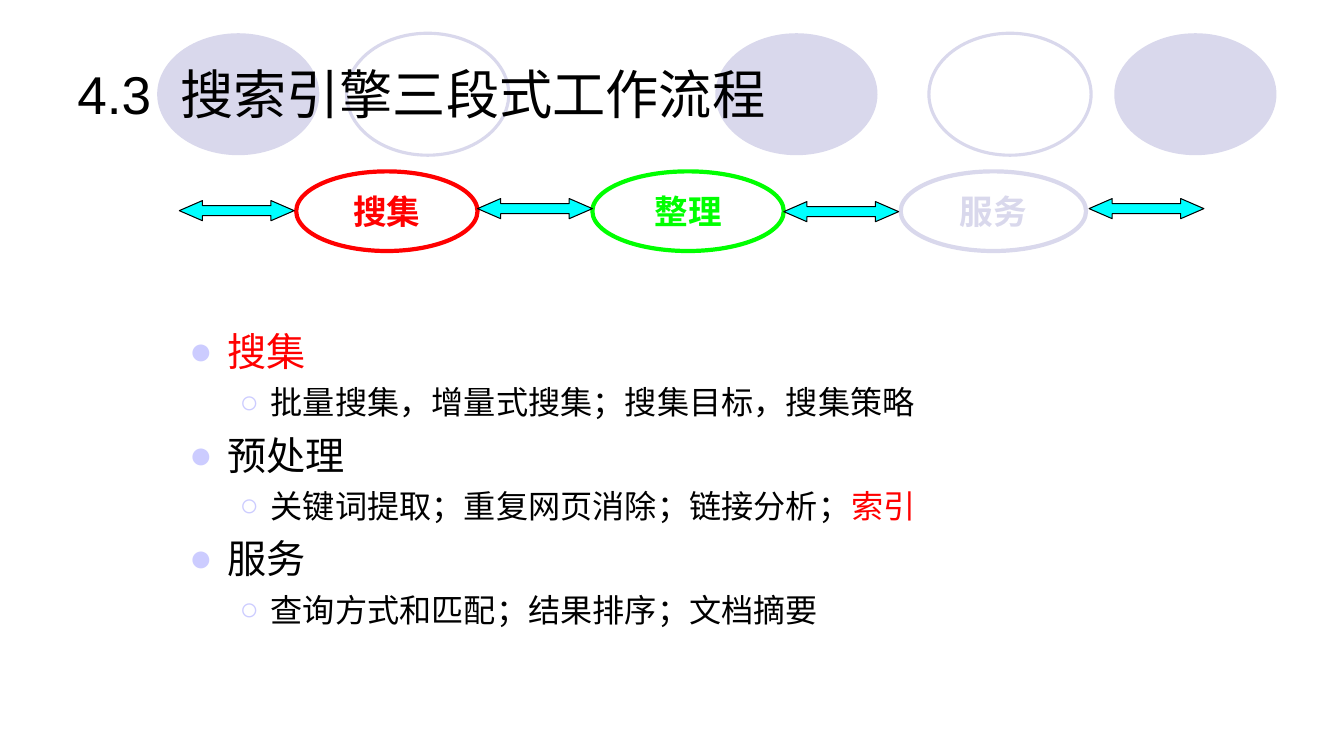
from lxml.etree import SubElement
from pptx import Presentation
from pptx.dml.color import RGBColor
from pptx.enum.shapes import MSO_SHAPE
from pptx.enum.text import MSO_ANCHOR, PP_ALIGN
from pptx.oxml.ns import qn
from pptx.util import Inches, Pt

BLACK, RED, GREEN, LILAC, CYAN = "000000", "FF0000", "00FF00", "D9D8EC", "00FFFF"
BULLET_COLOR = "CCCCFF"


def rgb(value):
    return RGBColor.from_string(value)


def add_figure(kind, box, fill=None, line=None, width=0):
    figure = slide.shapes.add_shape(kind, *(Inches(v) for v in box))
    figure.shadow.inherit = False
    for part, color in ((figure.fill, fill), (figure.line.fill, line)):
        if color:
            part.solid()
            part.fore_color.rgb = rgb(color)
        else:
            part.background()
    if line:
        figure.line.width = Pt(width)
    return figure


prs = Presentation()
prs.slide_width, prs.slide_height = Inches(13.34), Inches(7.5)
slide = prs.slides.add_slide(prs.slide_layouts[6])

# Background ovals: filled and outlined
for left, filled in ((7.1, True), (11.06, True), (1.56, True), (9.22, False), (3.44, False)):
    style = {"fill": LILAC} if filled else {"line": LILAC, "width": 2.25}
    add_figure(MSO_SHAPE.OVAL, (left, 0.33, 1.61, 1.21), **style)

# Title, with a tab stop after the section number
title = slide.shapes.add_textbox(Inches(0.67), Inches(0.3), Inches(12), Inches(1.25)).text_frame
title.word_wrap = True
title.vertical_anchor = MSO_ANCHOR.MIDDLE
heading = title.paragraphs[0]
heading.text = "4.3\t搜索引擎三段式工作流程"
tabs = SubElement(heading._p.get_or_add_pPr(), qn("a:tabLst"))
SubElement(tabs, qn("a:tab"), pos=str(Inches(1.02)), algn="l")
for name, value in {"size": Pt(38), "name": "Arial"}.items():
    setattr(heading.runs[0].font, name, value)
heading.runs[0].font.color.rgb = rgb(BLACK)

# Details of the three stages: level and coloured runs
details = [
    (0, [("搜集", RED)]),
    (1, [("批量搜集，增量式搜集；搜集目标，搜集策略", BLACK)]),
    (0, [("预处理", BLACK)]),
    (1, [("关键词提取；重复网页消除；链接分析；", BLACK), ("索引", RED)]),
    (0, [("服务", BLACK)]),
    (1, [("查询方式和匹配；结果排序；文档摘要", BLACK)]),
]
# Per level: text size, space before, left margin, hanging indent, bullet
levels = [(28, 7, 0.38, -0.38, "●"), (23, 5.8, 0.81, -0.31, "○")]
body = slide.shapes.add_textbox(Inches(1.78), Inches(3.2), Inches(10.08), Inches(3.5)).text_frame
body.word_wrap = True
for index, (level, pieces) in enumerate(details):
    size, before, margin, indent, bullet = levels[level]
    detail = body.add_paragraph() if index else body.paragraphs[0]
    detail.level = level
    detail.space_before = Pt(before if index else 0)
    props = detail._p.get_or_add_pPr()
    props.set("marL", str(Inches(margin)))
    props.set("indent", str(Inches(indent)))
    SubElement(SubElement(props, qn("a:buClr")), qn("a:srgbClr"), val=BULLET_COLOR)
    SubElement(props, qn("a:buFont"), typeface="Arial")
    SubElement(props, qn("a:buChar"), char=bullet)
    for text, color in pieces:
        piece = detail.add_run()
        piece.text = text
        for name, value in {"size": Pt(size), "name": "Arial"}.items():
            setattr(piece.font, name, value)
        piece.font.color.rgb = rgb(color)

# Workflow stages
for left, width, text, color in ((2.94, 1.8, "搜集", RED), (5.88, 1.9, "整理", GREEN),
                                 (8.94, 1.84, "服务", LILAC)):
    stage = add_figure(MSO_SHAPE.OVAL, (left, 1.7, width, 0.79), line=color, width=3)
    label = stage.text_frame.paragraphs[0]
    label.text = text
    label.alignment = PP_ALIGN.CENTER
    stage_font = {"size": Pt(24), "name": "Times New Roman", "bold": True}
    for name, value in stage_font.items():
        setattr(label.runs[0].font, name, value)
    label.runs[0].font.color.rgb = rgb(color)

# Double arrows between the stages
for left, top in ((4.74, 1.97), (7.78, 2), (10.81, 1.97), (1.78, 1.99)):
    arrow = add_figure(MSO_SHAPE.LEFT_RIGHT_ARROW, (left, top, 1.14, 0.2), CYAN, BLACK, 0.75)
    arrow.adjustments[0], arrow.adjustments[1] = 0.5, 1.15

prs.save("out.pptx")
